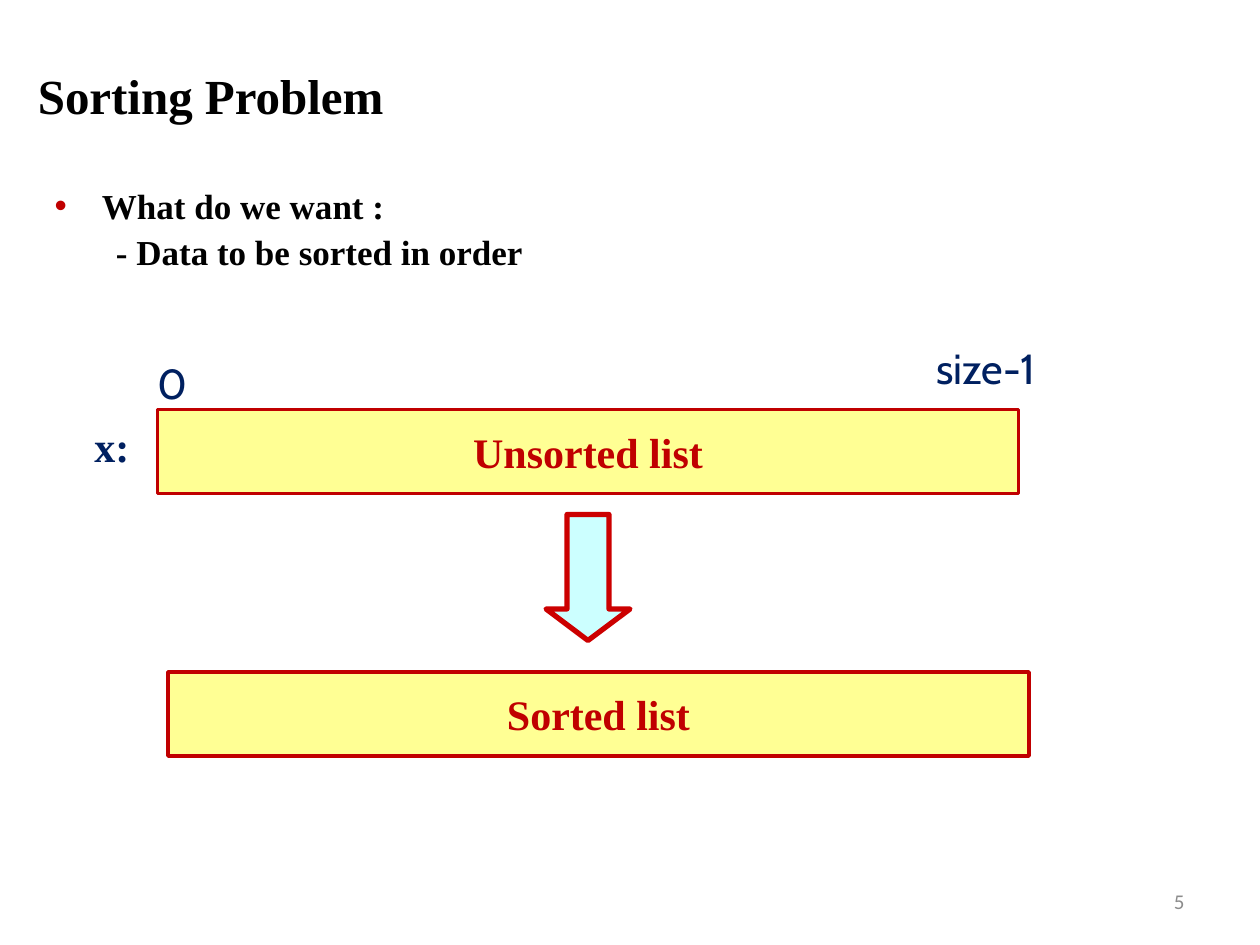
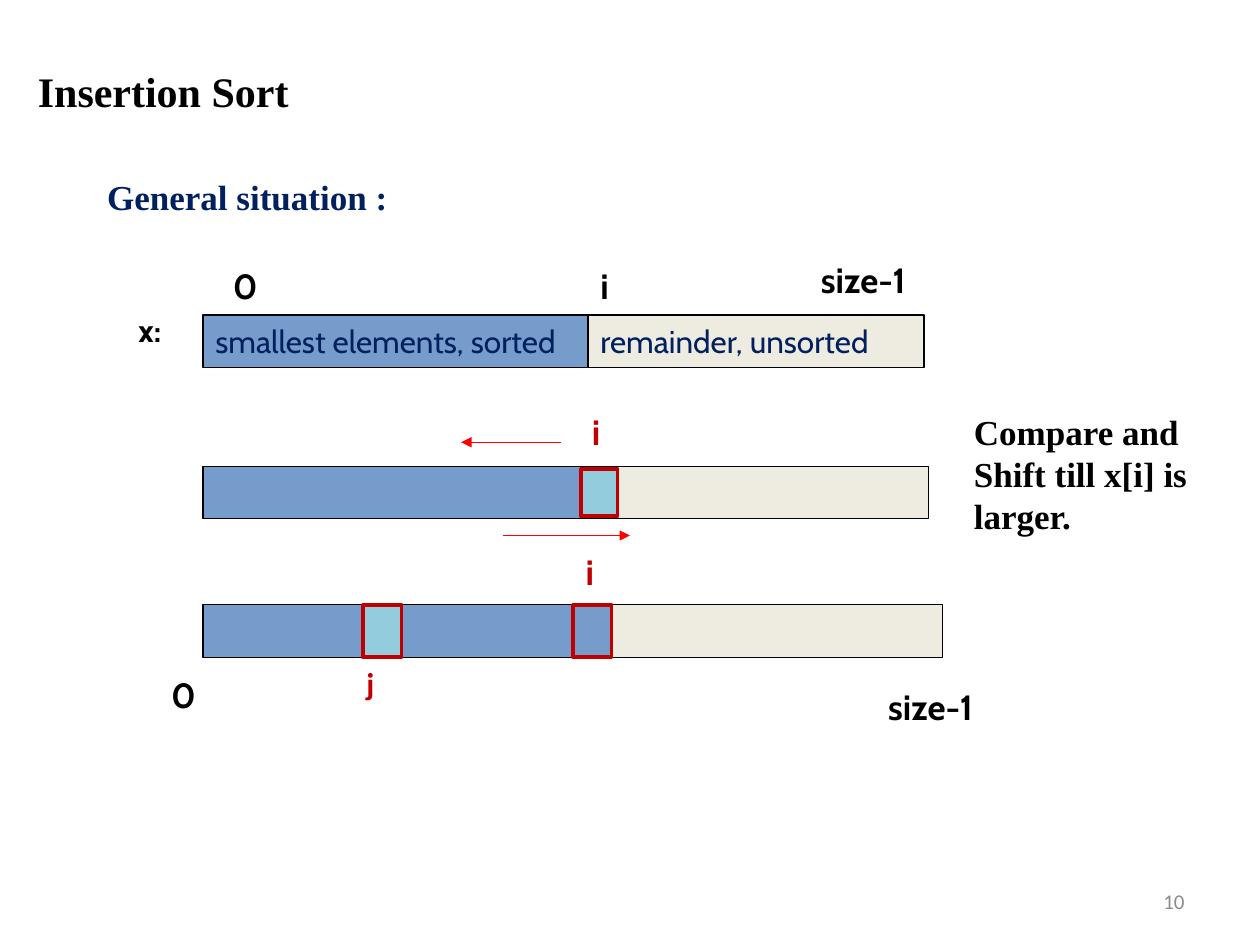
from dataclasses import dataclass
from typing import NamedTuple

import pptx
import pptx.dml.color
import pptx.enum.shapes
import pptx.enum.text
import pptx.oxml
import pptx.oxml.ns
import pptx.util

Pt = pptx.util.Pt
Align = pptx.enum.text.PP_ALIGN
Anchor = pptx.enum.text.MSO_ANCHOR
ShapeType = pptx.enum.shapes.MSO_SHAPE


@dataclass(frozen=True)
class Theme:
    serif: str = "Times New Roman"
    sans: str = "Cabin"
    plain: str = "Calibri"
    black: str = "000000"
    navy: str = "002060"
    red: str = "C00000"
    arrow_red: str = "FF0000"
    block_red: str = "CC0000"
    gray: str = "8C8C8C"
    yellow: str = "FFFF00"
    pale_cyan: str = "CCFFFF"
    blue: str = "4F81BD"
    cream: str = "EEECE1"
    teal: str = "93CDDD"
    title_size: int = 28
    large: int = 24
    medium: int = 20
    small: int = 18
    footer: int = 12


THEME = Theme()


class Box(NamedTuple):
    left: float
    top: float
    width: float
    height: float


class Look(NamedTuple):
    fill: str
    opacity: int = 100
    line: str = THEME.black
    line_width: float = 0.75


class Label(NamedTuple):
    text: str
    box: Box
    size: int = THEME.medium
    color: str = THEME.black
    font: str = THEME.sans
    bold: bool = True


class Segment(NamedTuple):
    width: float
    look: Look
    text: str = ""


LIST_LOOK = Look(THEME.yellow, 42, THEME.red, 2)
BLOCK_ARROW = Look(THEME.pale_cyan, 100, THEME.block_red, 3)
SORTED = Look(THEME.blue, 78)
UNSORTED = Look(THEME.cream)
KEY = Look(THEME.teal, 100, THEME.red, 2)
FREED = Look(THEME.blue, 78, THEME.red, 2)

BAR_LEFT = 116
BAR_HEIGHT = 30


def rgb(color: str):
    return pptx.dml.color.RGBColor.from_string(color)


def add_xml(parent, tag: str, **attributes: str):
    element = pptx.oxml.parse_xml(f"<a:{tag} {pptx.oxml.ns.nsdecls('a')}/>")
    for name, value in attributes.items():
        element.set(name, value)
    parent.append(element)
    return element


def place(shape, box: Box) -> None:
    shape.left, shape.top, shape.width, shape.height = map(Pt, box)


def write(frame, text: str, *, size: int, color: str, font: str, bold: bool = False,
          align=Align.LEFT, anchor=Anchor.TOP, space_before: float = 0) -> None:
    """Fill a text frame, one paragraph for each line of text."""
    frame.text = text
    frame.word_wrap = True
    frame.auto_size = pptx.enum.text.MSO_AUTO_SIZE.NONE
    frame.vertical_anchor = anchor
    for paragraph in frame.paragraphs:
        paragraph.alignment = align
        paragraph.space_before = Pt(space_before)
        for run in paragraph.runs:
            run.font.size = Pt(size)
            run.font.name = font
            run.font.bold = bold
            run.font.color.rgb = rgb(color)


def set_indent(paragraph, left: float, first_line: float = 0, bullet: str = "") -> None:
    properties = paragraph._p.get_or_add_pPr()
    properties.set("marL", str(Pt(left)))
    properties.set("indent", str(Pt(first_line)))
    if bullet:
        add_xml(add_xml(properties, "buClr"), "srgbClr", val=THEME.red)
        add_xml(properties, "buChar", char=bullet)
    else:
        add_xml(properties, "buNone")


def add_label(slide, label: Label, **text_format) -> None:
    shape = slide.shapes.add_textbox(*map(Pt, label.box))
    write(shape.text_frame, label.text, size=label.size, color=label.color,
          font=label.font, bold=label.bold, **text_format)


def add_block(slide, box: Box, look: Look, kind=ShapeType.RECTANGLE):
    shape = slide.shapes.add_shape(kind, *map(Pt, box))
    shape.shadow.inherit = False
    shape.fill.solid()
    shape.fill.fore_color.rgb = rgb(look.fill)
    if look.opacity < 100:
        color = shape._element.spPr.find(".//" + pptx.oxml.ns.qn("a:srgbClr"))
        add_xml(color, "alpha", val=str(look.opacity * 1000))
    shape.line.color.rgb = rgb(look.line)
    shape.line.width = Pt(look.line_width)
    return shape


def add_bar(slide, top: float, segments: list[Segment]) -> None:
    """Lay segments end to end, with the heavily outlined ones in front."""
    left = BAR_LEFT
    placed = []
    for segment in segments:
        placed.append((Box(left, top, segment.width, BAR_HEIGHT), segment))
        left += segment.width
    for box, segment in sorted(placed, key=lambda item: item[1].look.line_width):
        shape = add_block(slide, box, segment.look)
        if segment.text:
            write(shape.text_frame, segment.text, size=THEME.small, color=THEME.navy,
                  font=THEME.sans, anchor=Anchor.MIDDLE)


def add_arrow(slide, start: float, end: float, y: float) -> None:
    connector = slide.shapes.add_connector(
        pptx.enum.shapes.MSO_CONNECTOR.STRAIGHT, Pt(start), Pt(y), Pt(end), Pt(y))
    connector.line.color.rgb = rgb(THEME.arrow_red)
    connector.line.width = Pt(0.75)
    add_xml(connector.line._get_or_add_ln(), "tailEnd", type="triangle")
    add_xml(connector._element.spPr, "effectLst")


def add_slide(presentation, title: str, title_size: int, title_height: float, number: int,
              body: str, body_box: Box, body_color: str, space_before: float):
    """Add a slide with title, body and slide number; return it and its body paragraphs."""
    slide = presentation.slides.add_slide(presentation.slide_layouts[1])
    place(slide.shapes.title, Box(14.4, 15, 686, title_height))
    write(slide.shapes.title.text_frame, title, size=title_size, color=THEME.black,
          font=THEME.serif, bold=True, anchor=Anchor.MIDDLE)
    placeholder = slide.placeholders[1]
    place(placeholder, body_box)
    write(placeholder.text_frame, body, size=THEME.medium, color=body_color,
          font=THEME.serif, bold=True, space_before=space_before)
    add_label(slide, Label(str(number), Box(516, 500.4, 168, 28.8), THEME.footer,
                           THEME.gray, THEME.plain, False),
              align=Align.RIGHT, anchor=Anchor.MIDDLE)
    return slide, placeholder.text_frame.paragraphs


def build_sorting_problem(presentation) -> None:
    slide, (question, answer) = add_slide(
        presentation, "Sorting Problem", THEME.title_size, 79, 5,
        "What do we want :\n- Data to be sorted in order",
        Box(24, 102, 678, 84), THEME.black, 2)
    set_indent(question, 27, -27, "•")
    set_indent(answer, 35)

    for text, left, top in (("Unsorted list", 90, 234), ("Sorted list", 96, 384)):
        shape = add_block(slide, Box(left, top, 492, 48), LIST_LOOK)
        write(shape.text_frame, text, size=THEME.large, color=THEME.red, font=THEME.serif,
              bold=True, align=Align.CENTER, anchor=Anchor.MIDDLE)
    arrow = add_block(slide, Box(312, 294, 48, 72), BLOCK_ARROW, ShapeType.DOWN_ARROW)
    arrow.adjustments[0] = 0.5
    arrow.adjustments[1] = 0.375

    for label in (
        Label("x:", Box(46.8, 237, 36, 36), THEME.large, THEME.navy, THEME.serif),
        Label("0", Box(83, 201, 28, 36), THEME.large, THEME.navy, bold=False),
        Label("size-1", Box(528, 192, 102, 36), THEME.large, THEME.navy, bold=False),
    ):
        add_label(slide, label)


def build_insertion_sort(presentation) -> None:
    slide, (heading,) = add_slide(
        presentation, "Insertion Sort", THEME.large, 73.5, 10, "General situation :",
        Box(50.4, 96.5, 612, 52), THEME.navy, 4)
    set_indent(heading, 3.6)

    add_bar(slide, 180, [Segment(220, SORTED, "smallest elements, sorted"),
                         Segment(192, UNSORTED, "remainder, unsorted")])
    add_bar(slide, 266.4, [Segment(216, SORTED), Segment(198.5, UNSORTED)])
    add_block(slide, Box(332, 268, 21, 27), KEY)
    add_bar(slide, 345.6, [Segment(91.5, SORTED), Segment(22, KEY), Segment(98, SORTED),
                           Segment(22, FREED), Segment(189, UNSORTED)])
    add_arrow(slide, 320.5, 263.5, 252.75)
    add_arrow(slide, 287.5, 360, 306)

    for label in (
        Label("0", Box(126, 147.6, 27.5, 31)),
        Label("i", Box(336, 147.6, 20, 31)),
        Label("size-1", Box(462, 144, 107, 31)),
        Label("x:", Box(72, 174.25, 37.5, 36), THEME.small),
        Label("i", Box(331.2, 231, 20, 31), color=THEME.red),
        Label("i", Box(327.6, 311, 21.5, 31), color=THEME.red),
        Label("j", Box(202.3, 375.8, 21, 29), THEME.small, THEME.red, THEME.plain),
        Label("0", Box(90.7, 381.6, 28, 31)),
        Label("size-1", Box(500.4, 388, 107, 31)),
        Label("Compare and\nShift till x[i] is\nlarger.", Box(549.4, 231, 142.5, 80),
              font=THEME.serif),
    ):
        add_label(slide, label)


def main() -> None:
    presentation = pptx.Presentation()
    presentation.slide_width = Pt(720)
    presentation.slide_height = Pt(540)
    build_sorting_problem(presentation)
    build_insertion_sort(presentation)
    presentation.save("out.pptx")


if __name__ == "__main__":
    main()
